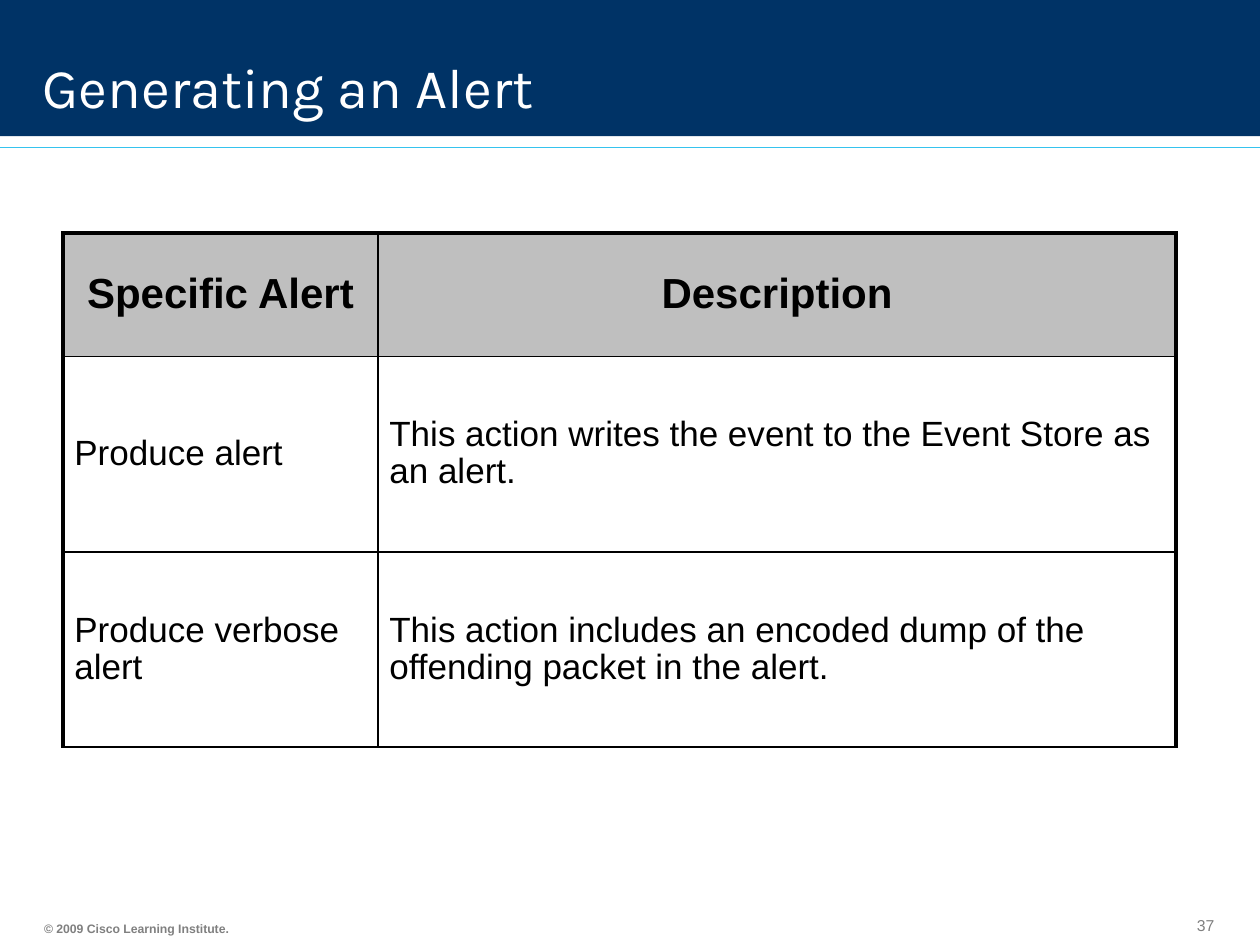
from pptx import Presentation
from pptx.dml.color import RGBColor
from pptx.enum import shapes, text
from pptx.oxml import parse_xml
from pptx.oxml.ns import nsdecls
from pptx.util import Pt

# Content
TITLE = "Generating an Alert"
ROWS = [
    ("Specific Alert", "Description"),
    ("Produce alert",
     "This action writes the event to the Event Store as an alert."),
    ("Produce verbose alert",
     "This action includes an encoded dump of the offending packet in the alert."),
]
# Footer: text, left, top, width, height, size, bold
FOOTERS = [
    ("37", 677.5, 519.8, 23.8, 17.3, 9, False),
    ("© 2009 Cisco Learning Institute.", 18.7, 522.7, 119.5, 15.1, 7, True),
]

# Layout, in points
SLIDE_WIDTH, SLIDE_HEIGHT = 720, 540
BAND_HEIGHT, RULE_TOP = 77.8, 84.2
TABLE_LEFT, TABLE_TOP = 36, 133.2
COLUMN_WIDTHS = [180, 456]
ROW_HEIGHTS = [70.6, 111.6, 111.6]
THICK, THIN = 2.25, 1


def colour(value):
    return RGBColor.from_string(value)


def style_font(paragraph, name, size, value, bold=False):
    for run in paragraph.runs:
        font = run.font
        font.name, font.size, font.bold = name, Pt(size), bold
        font.color.rgb = colour(value)


def set_borders(cell, widths):
    """Draw black borders; widths are for left, right, top and bottom."""
    properties = cell._tc.get_or_add_tcPr()
    for index, (side, width) in enumerate(zip("LRTB", widths)):
        properties.insert(index, parse_xml(
            f'<a:ln{side} {nsdecls("a")} w="{Pt(width)}"><a:solidFill>'
            f'<a:srgbClr val="000000"/></a:solidFill></a:ln{side}>'))


presentation = Presentation()
presentation.slide_width = Pt(SLIDE_WIDTH)
presentation.slide_height = Pt(SLIDE_HEIGHT)
slide = presentation.slides.add_slide(presentation.slide_layouts[5])
title = slide.shapes.title

# Header band and rule, behind the title
band = slide.shapes.add_shape(
    shapes.MSO_SHAPE.RECTANGLE, 0, 0, Pt(SLIDE_WIDTH), Pt(BAND_HEIGHT))
band.shadow.inherit = False
band.fill.solid()
band.fill.fore_color.rgb = colour("003366")
band.line.fill.background()
title.element.addprevious(band.element)

rule = slide.shapes.add_connector(
    shapes.MSO_CONNECTOR.STRAIGHT, 0, Pt(RULE_TOP), Pt(SLIDE_WIDTH), Pt(RULE_TOP))
rule.line.color.rgb = colour("35C3EE")
rule.line.width = Pt(0.75)
rule.element.spPr.append(parse_xml(f'<a:effectLst {nsdecls("a")}/>'))
title.element.addprevious(rule.element)

# Title
title.left, title.top, title.width, title.height = Pt(18), Pt(5.8), Pt(671.8), Pt(66.2)
frame = title.text_frame
frame.text = TITLE
frame.word_wrap = True
frame.auto_size = text.MSO_AUTO_SIZE.NONE
frame.vertical_anchor = text.MSO_ANCHOR.BOTTOM
frame.margin_left = frame.margin_right = Pt(6.5)
frame.margin_top = frame.margin_bottom = Pt(3.2)
paragraph = frame.paragraphs[0]
paragraph.alignment = text.PP_ALIGN.LEFT
paragraph.line_spacing = 0.9
style_font(paragraph, "Karla", 32, "FFFFFF")

# Footer
for words, left, top, width, height, size, bold in FOOTERS:
    box = slide.shapes.add_textbox(Pt(left), Pt(top), Pt(width), Pt(height))
    frame = box.text_frame
    frame.text = words
    frame.word_wrap = False
    frame.auto_size = text.MSO_AUTO_SIZE.SHAPE_TO_FIT_TEXT
    frame.vertical_anchor = text.MSO_ANCHOR.BOTTOM
    frame.margin_left = frame.margin_right = Pt(6.5)
    frame.margin_top = frame.margin_bottom = Pt(3.2)
    style_font(frame.paragraphs[0], "Arial", size, "808080", bold)

# Table
table = slide.shapes.add_table(
    len(ROWS), len(COLUMN_WIDTHS), Pt(TABLE_LEFT), Pt(TABLE_TOP),
    Pt(sum(COLUMN_WIDTHS)), Pt(sum(ROW_HEIGHTS))).table
table.horz_banding = False
for column, width in zip(table.columns, COLUMN_WIDTHS):
    column.width = Pt(width)
for row, height in zip(table.rows, ROW_HEIGHTS):
    row.height = Pt(height)

for row_index, row in enumerate(ROWS):
    header = row_index == 0
    for column_index, words in enumerate(row):
        cell = table.cell(row_index, column_index)
        cell.text_frame.text = words
        cell.vertical_anchor = text.MSO_ANCHOR.MIDDLE
        cell.margin_left = cell.margin_right = Pt(6.5)
        cell.margin_top = cell.margin_bottom = Pt(3.2)
        cell.fill.solid()
        cell.fill.fore_color.rgb = colour("BFBFBF" if header else "FFFFFF")
        set_borders(cell, (
            THICK if column_index == 0 else THIN,
            THICK if column_index == len(row) - 1 else THIN,
            THICK if header else THIN,
            THIN))
        paragraph = cell.text_frame.paragraphs[0]
        paragraph.alignment = text.PP_ALIGN.CENTER if header else text.PP_ALIGN.LEFT
        paragraph.line_spacing = 0.95
        style_font(paragraph, "Arial", 24 if header else 20, "000000", header)

presentation.save("out.pptx")
